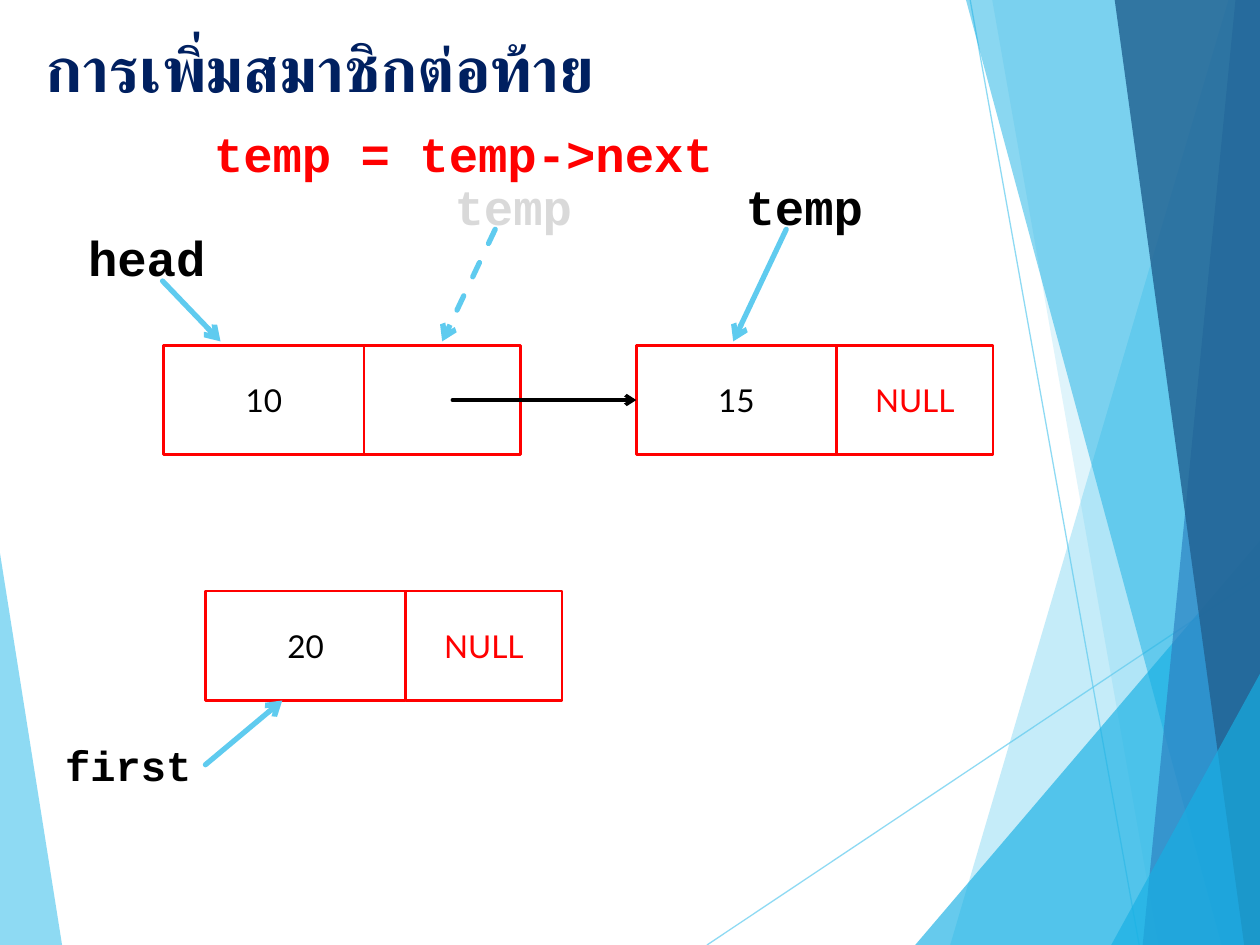
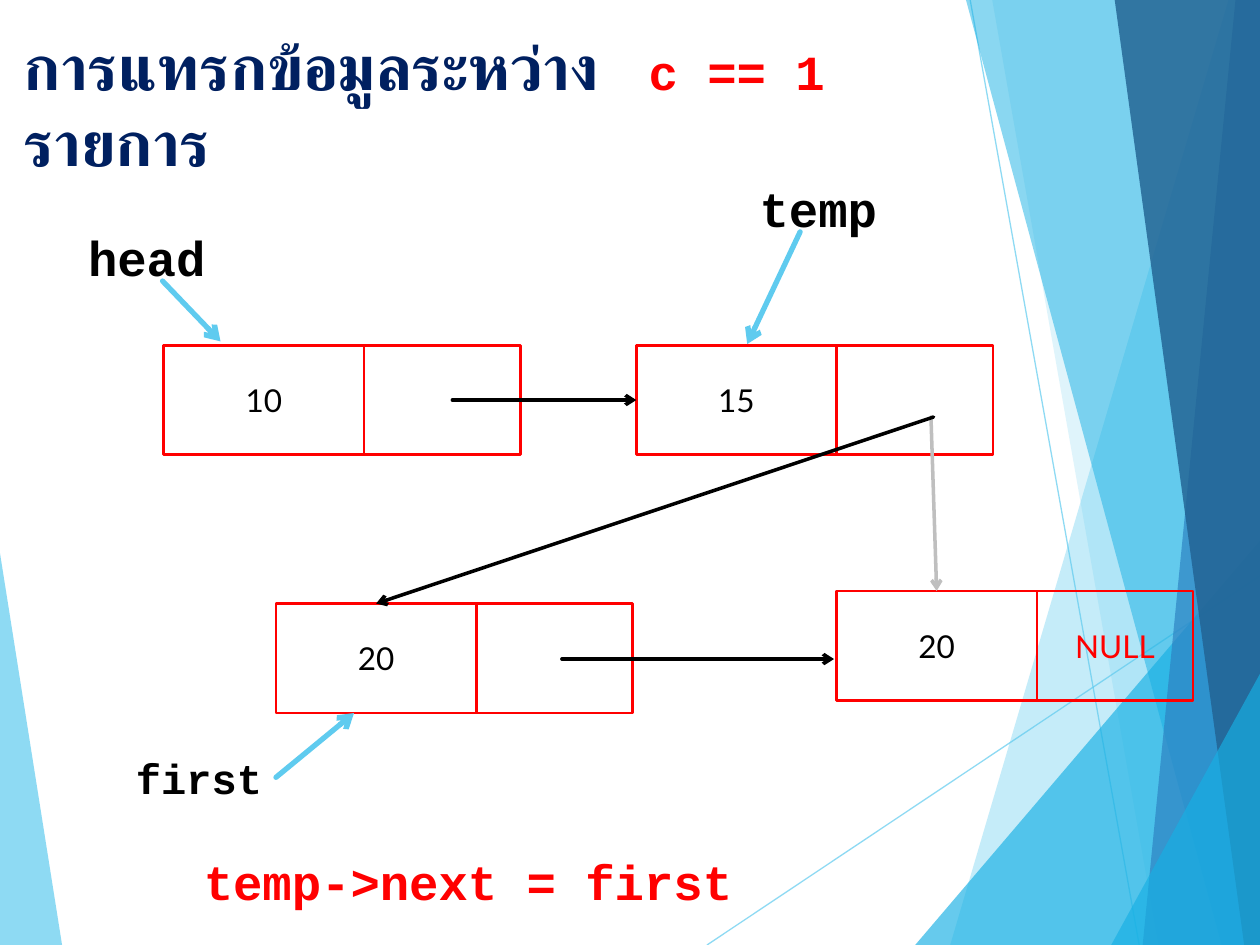
from lxml import etree
from pptx import Presentation
from pptx.dml.color import RGBColor
from pptx.enum.dml import MSO_LINE
from pptx.enum.shapes import MSO_CONNECTOR, MSO_SHAPE
from pptx.enum.text import MSO_ANCHOR, MSO_AUTO_SIZE, PP_ALIGN
from pptx.oxml.ns import qn
from pptx.util import Pt

RECT = MSO_SHAPE.RECTANGLE
LINE = MSO_CONNECTOR.STRAIGHT
DASH = MSO_LINE.DASH
TOP, MIDDLE = MSO_ANCHOR.TOP, MSO_ANCHOR.MIDDLE
LEFT, CENTER = PP_ALIGN.LEFT, PP_ALIGN.CENTER
FIXED = MSO_AUTO_SIZE.NONE

HEX = {
    "sky": "5FCBEF", "cyan": "17B0E4", "blue": "2E83C3", "deep": "226292",
    "navy": "002060", "red": "FF0000", "black": "000000",
    "gray": "BFBFBF", "pale": "D9D9D9",
}
WIDE, HIGH = 720, 540
DATA_W, LINK_W, NODE_H = 114.5, 89.25, 62.6
ROW = 197.3
MID = ROW + NODE_H / 2
SIDE, ROOF = 1, 0


def style(frame, font, size, color, bold, align, anchor):
    frame.word_wrap = True
    frame.auto_size = FIXED
    frame.vertical_anchor = anchor
    para = frame.paragraphs[0]
    para.alignment = align
    for run in para.runs:
        run.font.name = font
        run.font.size = Pt(size)
        run.font.bold = bold
        run.font.color.rgb = RGBColor.from_string(HEX[color])


def draw(shapes, ends, color, width):
    line = shapes.add_connector(LINE, *[Pt(v) for v in ends])
    line.line.color.rgb = RGBColor.from_string(HEX[color])
    line.line.width = Pt(width)
    etree.SubElement(line.element.spPr, qn("a:effectLst"))
    return line


PANELS = [
    ("sky", 70, [(0, 316), (35.5, HIGH), (0, HIGH)]),
    ("sky", 36, [(702, 0), (543, HIGH), (WIDE, HIGH), (WIDE, 0)]),
    ("sky", 20, [(567, 0), (662, HIGH), (WIDE, HIGH), (WIDE, 0)]),
    ("cyan", 66, [(523, HIGH), (WIDE, 309), (WIDE, HIGH)]),
    ("cyan", 50, [(552, 0), (698, HIGH), (WIDE, HIGH), (WIDE, 0)]),
    ("blue", 70, [(706, 0), (653, HIGH), (WIDE, HIGH), (WIDE, 0)]),
    ("deep", 82, [(637, 0), (711, HIGH), (WIDE, HIGH), (WIDE, 0)]),
    ("cyan", 66, [(635, HIGH), (WIDE, 385), (WIDE, HIGH)]),
]
RAYS = [(404, HIGH, WIDE, 329), (554.4, 0, 651, HIGH)]

HEAD = ("head", 43.2, 126.7, 99.4, 28, "black")
POINT = ((92.9, 160.6, 126, 195.1), "sky", 3, None, None)
NEXT = ((258.5, MID, 363.6, MID), "black", 2, None, (1, SIDE))

PAGES = [
    {
        "title": ("การเพิ่มสมาชิกต่อท้าย", 18.7, 13, 357.8, 67),
        "nodes": [(93.6, ROW, "10", ""), (363.6, ROW, "15", "NULL"),
                  (117.4, 337.7, "20", "NULL")],
        "arrows": [
            POINT, NEXT,
            ((117.4, 437, 161.3, 400.3), "sky", 3, None, None),
            ((449.3, 131, 419, 195.1), "sky", 3, None, None),
            ((283, 131, 252.7, 195.1), "sky", 3, DASH, None),
        ],
        "labels": [
            HEAD,
            ("first", 30.2, 419, 87.1, 24, "black"),
            ("temp", 419, 97.2, 99.4, 28, "black"),
            ("temp = temp->next", 115.2, 67, 319, 28, "red"),
            ("temp", 252.7, 97.2, 99.4, 28, "pale"),
        ],
    },
    {
        "title": ("การแทรกข้อมูลระหว่างรายการ", 6.5, 12.2, 403.2, 56.9),
        "nodes": [(93.6, ROW, "10", ""), (363.6, ROW, "15", ""),
                  (157.7, 344.9, "20", ""), (478, 337.7, "20", "NULL")],
        "arrows": [
            POINT, NEXT,
            ((157.7, 444.2, 202.3, 407.5), "sky", 3, None, None),
            ((532, 238.3, 535, 337.7), "gray", 2, None, (3, ROOF)),
            ((457.2, 132.5, 427, 196.6), "sky", 3, None, None),
            ((321.1, 376.6, 476.6, 376.6), "black", 2, None, None),
            ((533.5, 238.3, 215, 344.9), "black", 2, None, (2, ROOF)),
        ],
        "labels": [
            HEAD,
            ("first", 70.6, 426.2, 87.1, 24, "black"),
            ("c == 1", 363.6, 20.2, 115.9, 28, "red"),
            ("temp", 427, 98.6, 99.4, 28, "black"),
            ("temp->next = first", 109.4, 483.1, 319, 28, "red"),
        ],
    },
]

deck = Presentation()
deck.slide_width, deck.slide_height = Pt(WIDE), Pt(HIGH)
layout = deck.slide_layouts[5]
slides = [deck.slides.add_slide(layout) for page in PAGES]

shapes = slides[0].shapes
parts = []
for color, alpha, spots in PANELS:
    (x, y), *rest = [(Pt(a), Pt(b)) for a, b in spots]
    pen = shapes.build_freeform(x, y)
    pen.add_line_segments(rest, close=True)
    panel = pen.convert_to_shape()
    panel.shadow.inherit = False
    panel.fill.solid()
    panel.fill.fore_color.rgb = RGBColor.from_string(HEX[color])
    panel.line.fill.background()
    parts.append((panel, alpha))
rays = [(draw(shapes, ends, "sky", 0.75), 70) for ends in RAYS]
parts[1:1] = rays
for num, (part, alpha) in enumerate(parts, 20):
    tint = next(part.element.spPr.iter(qn("a:srgbClr")))
    etree.SubElement(tint, qn("a:alpha"), val=str(alpha * 1000))
    next(part.element.iter(qn("p:cNvPr"))).set("id", str(num))
    layout.shapes.element.append(part.element)

for slide, page in zip(slides, PAGES):
    shapes = slide.shapes
    text, *area = page["title"]
    title = shapes.title
    title.left, title.top, title.width, title.height = [Pt(v) for v in area]
    title.text_frame.text = text
    style(title.text_frame, "Calibri", 36, "navy", True, LEFT, TOP)
    for run in title.text_frame.paragraphs[0].runs:
        etree.SubElement(run.font._element, qn("a:cs"), typeface="Calibri")

    nodes = []
    for left, top, value, link in page["nodes"]:
        cells = [(left, DATA_W, value, "black"),
                 (left + DATA_W, LINK_W, link, "red")]
        for x, width, text, color in cells:
            cell = shapes.add_shape(RECT, Pt(x), Pt(top), Pt(width), Pt(NODE_H))
            cell.shadow.inherit = False
            cell.fill.background()
            cell.line.color.rgb = RGBColor.from_string(HEX["red"])
            cell.line.width = Pt(1.5)
            if text:
                cell.text_frame.text = text
                style(cell.text_frame, "Lato", 18, color, False, CENTER, MIDDLE)
            if x == left:
                nodes.append(cell)

    for ends, color, width, dash, goal in page["arrows"]:
        arrow = draw(shapes, ends, color, width)
        if dash:
            arrow.line.dash_style = dash
        if goal:
            arrow.end_connect(nodes[goal[0]], goal[1])
        stroke = arrow.element.spPr.find(qn("a:ln"))
        stroke.set("cap", "rnd")
        etree.SubElement(stroke, qn("a:tailEnd"), type="arrow")

    for text, left, top, width, size, color in page["labels"]:
        label = shapes.add_textbox(Pt(left), Pt(top), Pt(width), Pt(size * 1.2 + 7.4))
        label.text_frame.text = text
        style(label.text_frame, "Courier New", size, color, True, LEFT, TOP)

deck.save("out.pptx")
